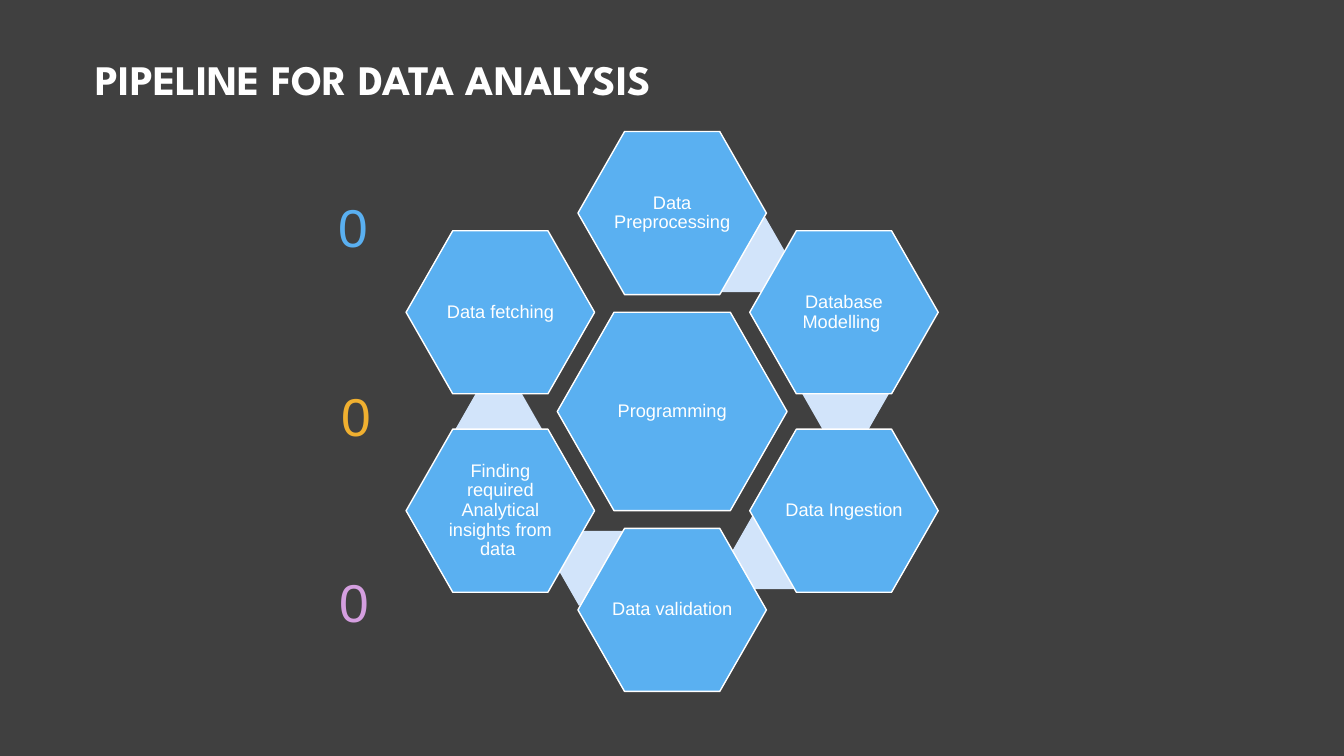
import math
from pptx import Presentation
from pptx.dml.color import RGBColor
from pptx.enum import shapes, text
from pptx.util import Cm, Pt

BLUE, PALE, WHITE = "5AB0F1", "D2E4FA", "FFFFFF"

# Clockwise from the top: label, and offset in cm of the pale link drawn behind it
STEPS = [
    ("Data Preprocessing", (1.8, -3.95)),
    ("Database Modelling ", (4.37, -0.44)),
    ("Data Ingestion", (2.59, 3.54)),
    ("Data validation ", (-1.8, 3.95)),
    ("Finding required Analytical insights from data ", (-4.37, 0.44)),
    ("Data fetching", None),
]
RING_RADIUS = 5.0
CORE_SIZE, STEP_SIZE, LINK_SIZE = (5.79, 5.0), (4.75, 4.11), (2.18, 1.88)


def paint(target, color):
    """Give a fill or a font a solid colour."""
    if hasattr(target, "solid"):
        target.solid()
        target = target.fore_color
    else:
        target = target.color
    target.rgb = RGBColor.from_string(color)


def style(p, size, color, font="Arial", align=text.PP_ALIGN.CENTER, bold=False):
    p.alignment, p.line_spacing = align, 0.9
    p.font.name, p.font.size, p.font.bold = font, Pt(size), bold
    paint(p.font, color)


def set_insets(tf, inset):
    tf.margin_left = tf.margin_right = tf.margin_top = tf.margin_bottom = Cm(inset)


def add_title(s, x, y, w, h):
    sp = s.shapes.title
    sp.left, sp.top, sp.width, sp.height = Cm(x), Cm(y), Cm(w), Cm(h)
    tf = sp.text_frame
    tf.text = "PIPELINE FOR DATA ANALYSIS"
    tf.auto_size = text.MSO_AUTO_SIZE.NONE
    tf.vertical_anchor = text.MSO_ANCHOR.MIDDLE
    style(tf.paragraphs[0], 30, WHITE, "League Spartan", text.PP_ALIGN.LEFT, True)


def add_hexagon(s, cx, cy, size, color, label=None):
    w, h = size
    sp = s.shapes.add_shape(shapes.MSO_SHAPE.HEXAGON,
                            Cm(cx - w / 2), Cm(cy - h / 2), Cm(w), Cm(h))
    sp.adjustments[0] = 0.286
    sp.shadow.inherit = False
    paint(sp.fill, color)
    if label is None:
        sp.line.fill.background()
        return
    paint(sp.line.fill, WHITE)
    sp.line.width = Pt(1)
    tf = sp.text_frame
    tf.text, tf.word_wrap = label, True
    tf.vertical_anchor = text.MSO_ANCHOR.MIDDLE
    set_insets(tf, 0.05)
    style(tf.paragraphs[0], 13, WHITE)


def add_cycle(s, cx, cy):
    add_hexagon(s, cx, cy, CORE_SIZE, BLUE, "Programming")
    for i, (label, link) in enumerate(STEPS):
        if link:
            add_hexagon(s, cx + link[0], cy + link[1], LINK_SIZE, PALE)
        angle = math.radians(60 * i)
        add_hexagon(s, cx + RING_RADIUS * math.sin(angle),
                    cy - RING_RADIUS * math.cos(angle), STEP_SIZE, BLUE, label)


def add_counter(s, cx, cy, color):
    w, h = 1.6, 1.8
    tf = s.shapes.add_textbox(Cm(cx - w / 2), Cm(cy - h / 2), Cm(w), Cm(h)).text_frame
    tf.text, tf.word_wrap = "0", True
    tf.vertical_anchor = text.MSO_ANCHOR.MIDDLE
    set_insets(tf, 0)
    style(tf.paragraphs[0], 38, color)


prs = Presentation()
prs.slide_width, prs.slide_height = Cm(33.87), Cm(19.05)
s = prs.slides.add_slide(prs.slide_layouts[5])
paint(s.background.fill, "404040")

add_title(s, 2.16, 0.79, 29.57, 2.54)

# Counters down the left side
for cx, cy, color in [(8.9, 5.8, BLUE), (8.97, 10.56, "F0B030"), (8.92, 15.25, "D59FE0")]:
    add_counter(s, cx, cy, color)

# Hexagon cycle around the core
add_cycle(s, 16.94, 10.37)

prs.save("out.pptx")
